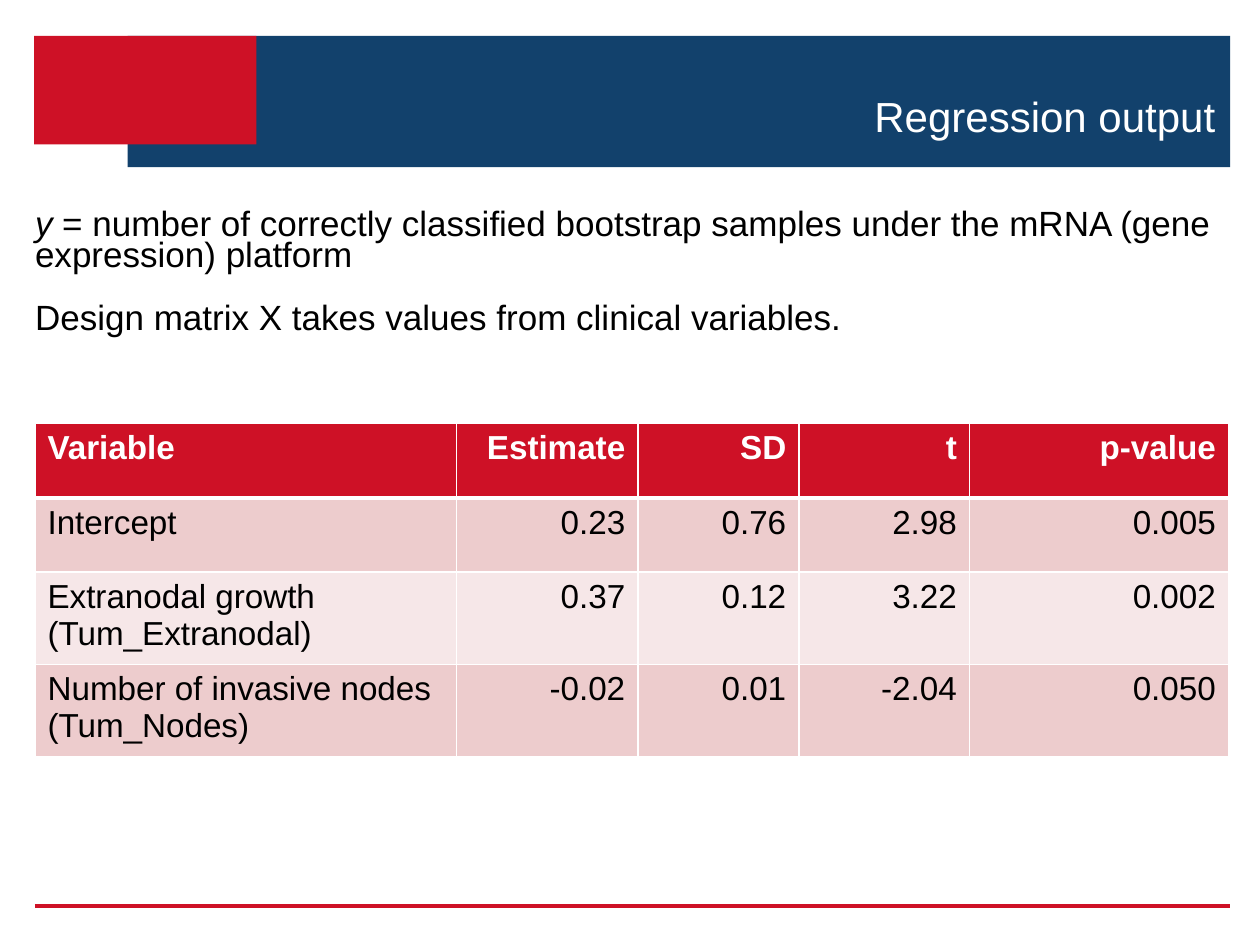
from lxml.etree import SubElement
from pptx import Presentation
from pptx.dml.color import RGBColor
from pptx.enum.shapes import MSO_CONNECTOR, MSO_SHAPE
from pptx.enum.text import MSO_ANCHOR, PP_ALIGN
from pptx.oxml.ns import qn
from pptx.util import Pt

FONT = "Arial"
RED = RGBColor(0xCE, 0x11, 0x26)
BLUE = RGBColor(0x12, 0x41, 0x6C)
ROSE = RGBColor(0xED, 0xCC, 0xCD)
PALE = RGBColor(0xF6, 0xE7, 0xE8)
WHITE = RGBColor(0xFF, 0xFF, 0xFF)
BLACK = RGBColor(0, 0, 0)

COLS = (241, 103.5, 92, 97.5, 148)
ROW = 42.5
DATA = (
    ("Variable", "Estimate", "SD", "t", "p-value"),
    ("Intercept", "0.23", "0.76", "2.98", "0.005"),
    ("Extranodal growth (Tum_Extranodal)", "0.37", "0.12", "3.22", "0.002"),
    ("Number of invasive nodes\n(Tum_Nodes)", "-0.02", "0.01", "-2.04", "0.050"),
)


def write(para, text, size=20, color=BLACK, bold=False, italic=False,
          align=PP_ALIGN.LEFT, lead=None, before=None):
    """Add a formatted run to a paragraph."""
    para.alignment = align
    if lead:
        para.line_spacing = Pt(lead)
    if before:
        para.space_before = Pt(before)
    run = para.add_run()
    run.text = text
    font = run.font
    font.name, font.size = FONT, Pt(size)
    font.bold, font.italic = bold, italic
    font.color.rgb = color


def add_text(slide, x, y, w, h, anchor):
    """Add a wrapping text box and return its frame."""
    frame = slide.shapes.add_textbox(Pt(x), Pt(y), Pt(w), Pt(h)).text_frame
    frame.word_wrap = True
    frame.vertical_anchor = anchor
    return frame


def add_block(slide, x, y, w, h, color):
    """Add a plain filled rectangle."""
    block = slide.shapes.add_shape(MSO_SHAPE.RECTANGLE, Pt(x), Pt(y), Pt(w), Pt(h))
    block.shadow.inherit = False
    block.fill.solid()
    block.fill.fore_color.rgb = color
    block.line.fill.background()


def add_header(slide, x, y, w, h):
    """Draw the title band with its red corner."""
    inset = 53.5
    add_block(slide, x + inset, y, w - inset, h, BLUE)
    add_block(slide, x, y, 127, 62, RED)
    frame = add_text(slide, x + 127, y + 13.5, w - 128.5, 50, MSO_ANCHOR.BOTTOM)
    write(frame.paragraphs[0], "Regression output", size=24, color=WHITE,
          align=PP_ALIGN.RIGHT, lead=25)


def add_body(slide, x, y, w, h):
    """Write the model description."""
    frame = add_text(slide, x, y, w, h, MSO_ANCHOR.MIDDLE)
    frame.margin_left = frame.margin_right = 0
    frame.margin_top = frame.margin_bottom = 0
    para = frame.paragraphs[0]
    write(para, "y", italic=True, lead=18)
    write(para, " = number of correctly classified bootstrap samples under "
                "the mRNA (gene expression) platform", lead=18)
    write(frame.add_paragraph(), "Design matrix X takes values from clinical variables.",
          lead=18, before=18)


def set_edges(cell, widths):
    """Give a cell white borders of the given widths, keyed by side."""
    props = cell._tc.get_or_add_tcPr()
    for spot, (side, width) in enumerate(widths.items()):
        edge = props.makeelement(qn(f"a:ln{side}"), {"w": str(Pt(width))})
        fill = SubElement(edge, qn("a:solidFill"))
        SubElement(fill, qn("a:srgbClr"), val=str(WHITE))
        props.insert(spot, edge)


def add_results(slide, x, y, w):
    """Build the table of regression estimates."""
    frame = slide.shapes.add_table(len(DATA), len(COLS), Pt(x), Pt(y),
                                   Pt(w), Pt(ROW * len(DATA)))
    table = frame.table
    for col, width in zip(table.columns, COLS):
        col.width = Pt(width)
    for r, values in enumerate(DATA):
        table.rows[r].height = Pt(ROW)
        head = r == 0
        tint = RED if head else ROSE if r % 2 else PALE
        for c, value in enumerate(values):
            cell = table.cell(r, c)
            cell.fill.solid()
            cell.fill.fore_color.rgb = tint
            set_edges(cell, {"L": 1, "R": 1, "T": 3 if r == 1 else 1,
                             "B": 3 if head else 1})
            for i, line in enumerate(value.split("\n")):
                text = cell.text_frame
                para = text.add_paragraph() if i else text.paragraphs[0]
                write(para, line, size=19, color=WHITE if head else BLACK, bold=head,
                      align=PP_ALIGN.RIGHT if c else PP_ALIGN.LEFT)


def add_rule(slide, x, y, w):
    """Draw the red footer line."""
    rule = slide.shapes.add_connector(MSO_CONNECTOR.STRAIGHT, Pt(x), Pt(y), Pt(x + w), Pt(y))
    rule.line.color.rgb = RED
    rule.line.width = Pt(2.25)
    SubElement(rule._element.spPr, qn("a:effectLst"))


def main():
    """Build and save the slide."""
    deck = Presentation()
    deck.slide_width, deck.slide_height = Pt(720), Pt(540)
    slide = deck.slides.add_slide(deck.slide_layouts[6])
    left, wide = 20, 682
    add_header(slide, left - 0.5, 20.5, wide + 1.5, 75)
    add_rule(slide, left, 517.5, wide + 1)
    add_results(slide, left, 242, wide)
    add_body(slide, left, 111.5, wide, 91)
    deck.save("out.pptx")


if __name__ == "__main__":
    main()
